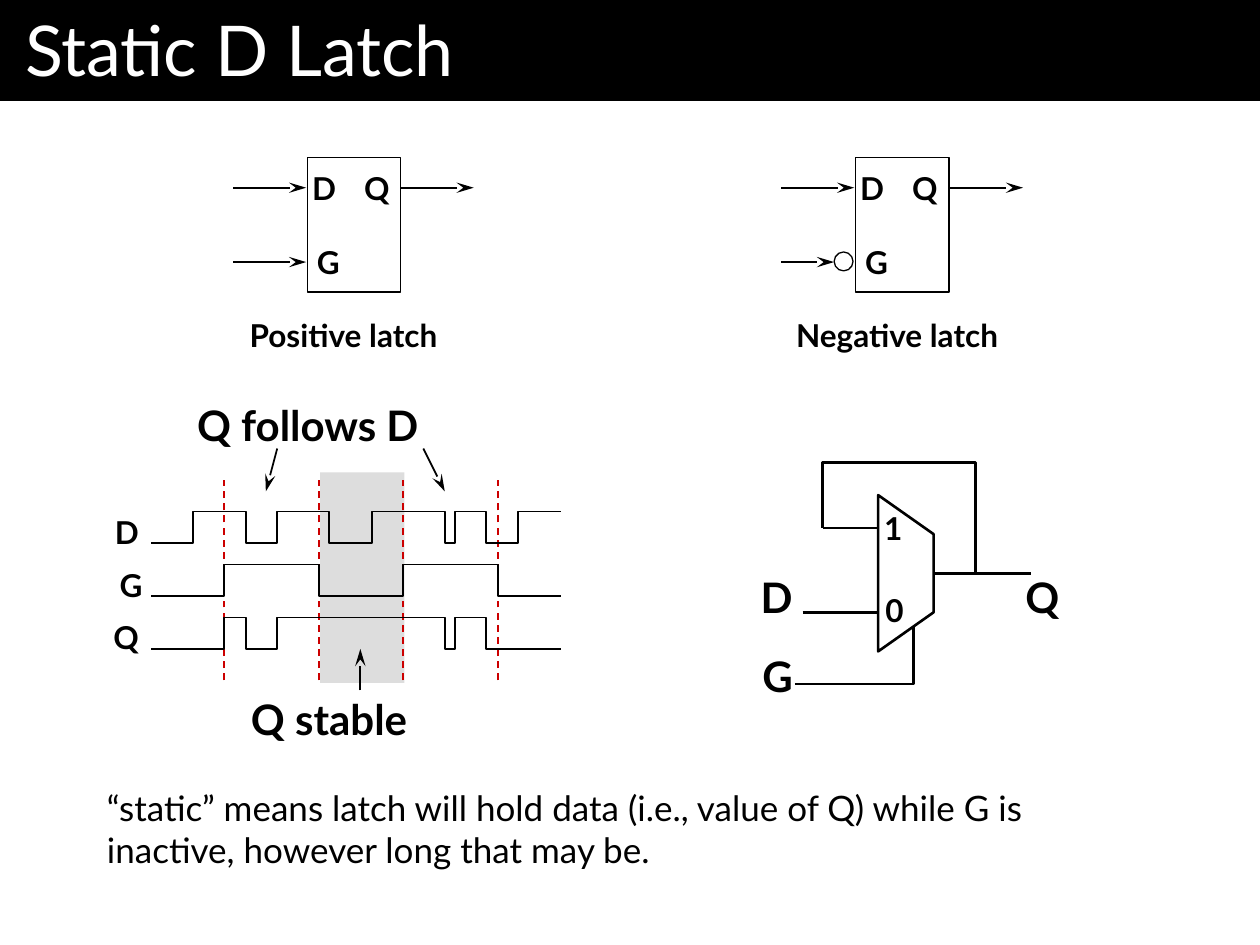
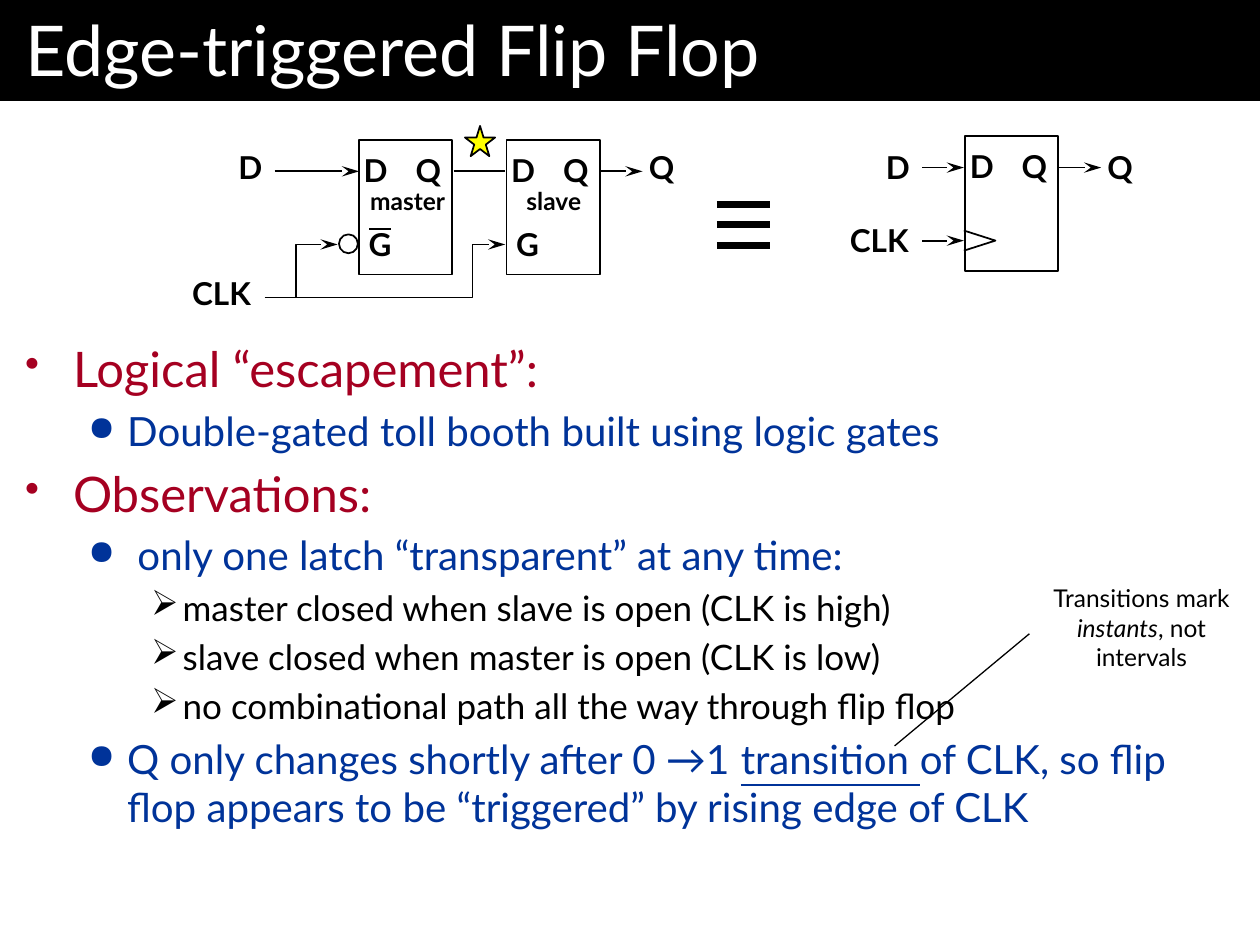
from dataclasses import dataclass

import lxml.etree
import pptx
import pptx.dml.color
import pptx.enum.dml
import pptx.enum.shapes
import pptx.enum.text
import pptx.oxml.ns
import pptx.util


@dataclass(frozen=True)
class Theme:
    font: str = "Lato"
    ink: str = "000000"
    paper: str = "FFFFFF"
    shade: str = "DDDDDD"
    marker: str = "CC0000"
    star: str = "FFFF00"
    heading: str = "A50021"
    point: str = "003399"
    title_size: int = 40
    heading_size: int = 28
    caption_size: int = 24
    point_size: int = 23
    text_size: int = 20
    pin_size: int = 18
    note_size: int = 14


theme = Theme()
rgb = pptx.dml.color.RGBColor.from_string
qn = pptx.oxml.ns.qn
shape_kind = pptx.enum.shapes.MSO_SHAPE
align = pptx.enum.text.PP_ALIGN
autosize = pptx.enum.text.MSO_AUTO_SIZE

# Slide and grid: 100 columns by 75 rows
deck = pptx.Presentation()
deck.slide_width = pptx.util.Inches(10)
deck.slide_height = pptx.util.Inches(7.5)
col = deck.slide_width / 100
row = deck.slide_height / 75


def write(paragraph, runs, size, color, bold=False):
    """Fill a paragraph with (text, extra font values) runs."""
    for text, extra in runs:
        run = paragraph.add_run()
        run.text = text
        values = {"name": theme.font, "size": pptx.util.Pt(size), "bold": bold, **extra}
        for attribute, value in values.items():
            setattr(run.font, attribute, value)
        run.font.color.rgb = rgb(color)


def wire(slide, points, width=1, color=theme.ink, dash=False, arrow=False, fill=None):
    """Draw a line through grid points; a fill closes the outline."""
    spots = [(round(x * col), round(y * row)) for x, y in points]
    if len(spots) == 2:
        line_shape = slide.shapes.add_connector(
            pptx.enum.shapes.MSO_CONNECTOR.STRAIGHT, *spots[0], *spots[1])
    else:
        builder = slide.shapes.build_freeform(*spots[0])
        builder.add_line_segments(spots[1:], close=fill is not None)
        line_shape = builder.convert_to_shape()
        line_shape.fill.background()
        if fill:
            line_shape.fill.solid()
            line_shape.fill.fore_color.rgb = rgb(fill)
    line_shape.line.color.rgb = rgb(color)
    line_shape.line.width = pptx.util.Pt(width)
    if dash:
        line_shape.line.dash_style = pptx.enum.dml.MSO_LINE.DASH
    if arrow:
        lxml.etree.SubElement(line_shape.line._get_or_add_ln(), qn("a:tailEnd"),
                              type="stealth", w="med", len="lg")
    lxml.etree.SubElement(line_shape._element.spPr, qn("a:effectLst"))


# Title bands
slides = []
for heading in ("Static D Latch", "Edge-triggered Flip Flop"):
    slide = deck.slides.add_slide(deck.slide_layouts[5])
    band = slide.shapes.title
    place = {"left": 0, "top": 0, "width": deck.slide_width, "height": round(7.7 * row)}
    for attribute, value in place.items():
        setattr(band, attribute, value)
    band.fill.solid()
    band.fill.fore_color.rgb = rgb(theme.ink)
    frame = band.text_frame
    frame.margin_left = frame.margin_right = round(2 * col)
    frame.margin_top = frame.margin_bottom = round(0.5 * row)
    frame.auto_size = autosize.SHAPE_TO_FIT_TEXT
    frame.paragraphs[0].alignment = align.LEFT
    write(frame.paragraphs[0], [(heading, {})], theme.title_size, theme.paper)
    slides.append(slide)
latch, flop = slides

# Latch boxes: slide, left, top, whether the gate pin is named
boxes = [
    (latch, 24.4, 12.5, True),
    (latch, 67.9, 12.5, True),
    (flop, 28.5, 11.1, True),
    (flop, 40.2, 11.1, True),
    (flop, 76.6, 10.8, False),
]
RECT, OVAL, STAR = shape_kind.RECTANGLE, shape_kind.OVAL, shape_kind.STAR_5_POINT

# Preset shapes: stable period, boxes, inverting bubbles, star
presets = [(latch, RECT, 25.4, 37.5, 6.7, 16.7, theme.shade, 0)]
presets += [(slide, RECT, x, y, 7.4, 10.7, theme.paper, 1) for slide, x, y, _ in boxes]
presets += [
    (latch, OVAL, 66.2, 20, 1.5, 1.5, theme.paper, 0.75),
    (flop, OVAL, 26.9, 18.6, 1.5, 1.5, theme.paper, 1),
    (flop, STAR, 36.9, 10, 2.4, 2.4, theme.star, 1),
]
for slide, kind, x, y, w, h, fill, outline in presets:
    part = slide.shapes.add_shape(kind, round(x * col), round(y * row),
                                  round(w * col), round(h * row))
    part.shadow.inherit = False
    part.fill.solid()
    part.fill.fore_color.rgb = rgb(fill)
    if outline:
        part.line.color.rgb = rgb(theme.ink)
        part.line.width = pptx.util.Pt(outline)
    else:
        part.line.fill.background()

# Timing diagram: each signal starts low and toggles at its edges
gate_edges = [17.8, 25.3, 32, 39.5]
signals = [
    [15.3, 19.5, 22, 26.1, 29.5, 35.3, 36.1, 38.6, 41.1],
    gate_edges,
    [17.8, 19.5, 22, 35.3, 36.1, 38.6],
]
for edge in gate_edges:
    wire(latch, [(edge, 54), (edge, 38.1)], color=theme.marker, dash=True)
for index, edges in enumerate(signals):
    high = 40.6 + 4.2 * index
    level, other = high + 2.5, high
    trace = [(12, level)]
    for edge in edges:
        trace += [(edge, level), (edge, other)]
        level, other = other, level
    wire(latch, trace + [(44.5, level)])

# Arrows on both slides
arrows = [
    (latch, [(18.5, 20.8), (24.3, 20.8)]),
    (latch, [(18.5, 14.9), (24.3, 14.9)]),
    (latch, [(31.8, 14.9), (37.6, 14.9)]),
    (latch, [(62, 20.8), (66.2, 20.8)]),
    (latch, [(62, 14.9), (67.8, 14.9)]),
    (latch, [(75.3, 14.9), (81.2, 14.9)]),
    (latch, [(22, 35.6), (21.1, 39)]),
    (latch, [(33.6, 35.6), (35.3, 39)]),
    (latch, [(28.6, 54.8), (28.6, 51.5)]),
    (flop, [(21, 23.6), (37.5, 23.6), (37.5, 19.4), (40.1, 19.4)]),
    (flop, [(23.5, 23.6), (23.5, 19.4), (26.8, 19.4)]),
    (flop, [(21.8, 13.6), (28.5, 13.6)]),
    (flop, [(47.6, 13.6), (51, 13.6)]),
    (flop, [(84, 13.3), (87.4, 13.3)]),
    (flop, [(73.2, 13.3), (76.5, 13.3)]),
    (flop, [(73.2, 19.1), (76.5, 19.1)]),
]
for slide, points in arrows:
    wire(slide, points, arrow=True)

# Multiplexer with feedback loop
wire(latch, [(63.1, 54.3), (72.5, 54.3), (72.5, 49.3)], 1.5)
wire(latch, [(69.7, 51.7), (74.1, 48.6), (74.1, 42.4), (69.7, 39.3)], 1.5, fill=theme.paper)
wire(latch, [(74.1, 45.5), (81.8, 45.5)], 1.5)
wire(latch, [(63.7, 48.6), (69.7, 48.6)], 1.5)
wire(latch, [(77.4, 45.5), (77.4, 36.7), (65.3, 36.7), (65.3, 41.9)], 1.5)
wire(latch, [(69.6, 41.9), (65.3, 41.9)], 1.5)

# Flip-flop: overbar, master to slave, clock wedge, equivalence sign
wire(flop, [(29.3, 18.2), (31, 18.2)])
wire(flop, [(36, 13.6), (40.1, 13.6)])
wire(flop, [(76.5, 18.3), (79, 19.1), (76.5, 19.9)])
for bar in range(3):
    wire(flop, [(56.9, 16.2 + 1.65 * bar), (61.1, 16.2 + 1.65 * bar)], 4)

# Labels: slide, text, left, top, width, height, size
pins = [
    (latch, "D", 8.1, 40.6), (latch, "G", 8.4, 44.8), (latch, "Q", 8, 48.9),
    (flop, "D", 17.9, 11.6), (flop, "Q", 50.5, 11.6),
    (flop, "D", 69.3, 11.6), (flop, "Q", 86.9, 11.6),
]
for slide, x, y, gate_named in boxes:
    pins += [(slide, "D", x - 0.65, y + 0.75), (slide, "Q", x + 3.5, y + 0.75)]
    if gate_named:
        pins.append((slide, "G", x - 0.35, y + 6.6))
labels = [(*pin, 4 if pin[1] == "Q" else 3.9, 3.8, theme.pin_size) for pin in pins]
labels += [
    (flop, "CLK", 14, 21.6, 6.9, 3.8, theme.pin_size),
    (flop, "CLK", 66.2, 17.4, 6.9, 3.8, theme.pin_size),
    (latch, "Positive latch", 16.6, 24.9, 19.1, 3.8, theme.pin_size),
    (latch, "Negative latch", 59.8, 24.9, 20.4, 3.8, theme.pin_size),
    (latch, "Q follows D", 12.8, 31.7, 21.4, 4.7, theme.caption_size),
    (latch, "Q stable", 17.4, 55, 15.9, 4.7, theme.caption_size),
]
tight = {"alignment": align.RIGHT, "line_spacing": 0.9}
loose = {"alignment": align.RIGHT}
centred = {"alignment": align.CENTER, "line_spacing": 0.9}
texts = [(slide, [(text, {})], *box, True, False, tight)
         for slide, text, *box in labels]
texts += [
    (latch, [("Q", {})], 80.4, 44.9, 4.6, 5.1, theme.caption_size, True, False, loose),
    (latch, [("G", {})], 59.4, 51.1, 4.5, 5.1, theme.caption_size, True, False, loose),
    (latch, [("D", {})], 59.3, 44.9, 4.6, 5.1, theme.caption_size, True, False, loose),
    (latch, [("1", {})], 69, 39.9, 3.6, 4, theme.pin_size, True, False, loose),
    (latch, [("0", {})], 69.1, 46.4, 3.6, 4, theme.pin_size, True, False, loose),
    (flop, [("master", {})], 27.9, 14.5, 8.9, 3.2, theme.note_size, True, False, centred),
    (flop, [("slave", {})], 40.2, 14.5, 7.5, 3.2, theme.note_size, True, True, centred),
    (latch, [("“static” means latch will hold data (i.e., value of Q) while G is "
              "inactive, however long that may be.", {})],
     7.5, 61.9, 84.2, 7.7, theme.text_size, False, True, {}),
    (flop, [("Transitions mark ", {}), ("instants", {"italic": True}), (", not intervals", {})],
     81.2, 45.8, 18.8, 8.1, theme.note_size, False, True, {"alignment": align.CENTER}),
]
for slide, runs, x, y, w, h, size, bold, wrap, layout in texts:
    frame = slide.shapes.add_textbox(round(x * col), round(y * row),
                                     round(w * col), round(h * row)).text_frame
    frame.word_wrap = wrap
    frame.auto_size = autosize.SHAPE_TO_FIT_TEXT
    for attribute, value in layout.items():
        setattr(frame.paragraphs[0], attribute, value)
    write(frame.paragraphs[0], runs, size, theme.ink, bold)

# Bulleted text: per level the margin, hang, bullet, bullet size, text size, colour
levels = [
    (3.8, 3.8, "•", 85, theme.heading_size, theme.heading),
    (8.1, 3.1, "●", 85, theme.point_size, theme.point),
    (12.5, 2.5, "➢", 100, theme.text_size, theme.ink),
]
points = [
    (0, [("Logical “escapement”:", {})]),
    (1, [("Double-gated toll booth built using logic gates", {})]),
    (0, [("Observations:", {})]),
    (1, [(" only one latch “transparent” at any time:", {})]),
    (2, [("master closed when slave is open (CLK is high)", {})]),
    (2, [("slave closed when master is open (CLK is low)", {})]),
    (2, [("no combinational path all the way through flip flop", {})]),
    (1, [("Q only changes shortly after 0 →1 ", {}), ("transition ", {"underline": True}),
         ("of CLK, so flip flop appears to be “triggered” by rising edge of CLK", {})]),
]
frame = flop.shapes.add_textbox(0, round(25.4 * row), deck.slide_width,
                                round(49.6 * row)).text_frame
frame.word_wrap = True
frame.margin_left = frame.margin_right = round(2 * col)
frame.margin_top = frame.margin_bottom = round(1.5 * row)
for index, (level, runs) in enumerate(points):
    margin, hang, bullet, bullet_size, size, color = levels[level]
    paragraph = frame.add_paragraph() if index else frame.paragraphs[0]
    paragraph.level = level
    properties = paragraph._p.get_or_add_pPr()
    properties.set("marL", str(round(margin * col)))
    properties.set("indent", str(-round(hang * col)))
    spacing = lxml.etree.SubElement(properties, qn("a:spcBef"))
    lxml.etree.SubElement(spacing, qn("a:spcPct"), val="20000")
    tint = lxml.etree.SubElement(properties, qn("a:buClr"))
    lxml.etree.SubElement(tint, qn("a:srgbClr"), val=color)
    lxml.etree.SubElement(properties, qn("a:buSzPct"), val=str(bullet_size * 1000))
    lxml.etree.SubElement(properties, qn("a:buChar"), char=bullet)
    write(paragraph, runs, size, color)

# Pointer from the note to the underlined word
wire(flop, [(81.7, 50.3), (71, 59.2)], 0.75)

deck.save("out.pptx")
